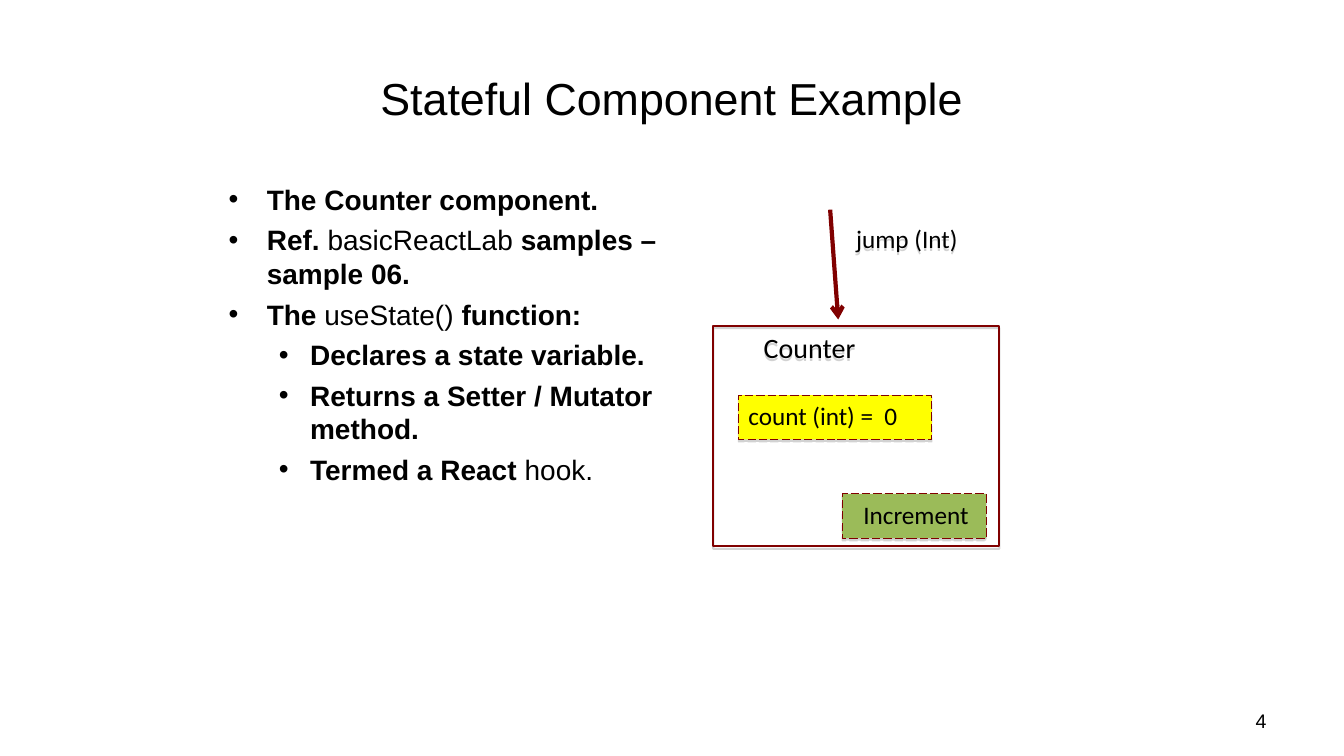
from lxml.etree import SubElement
from pptx import Presentation
from pptx.dml.color import RGBColor
from pptx.enum.dml import MSO_LINE
from pptx.enum.shapes import MSO_CONNECTOR, MSO_SHAPE
from pptx.enum.text import MSO_ANCHOR as Anchor, PP_ALIGN as Align
from pptx.oxml.ns import qn
from pptx.util import Inches, Pt

BLACK, MAROON, YELLOW, GREEN, GREY = "000000", "800000", "FFFF00", "9BBB59", "808080"

POINTS = [
    (0, [("The Counter component.", True)]),
    (0, [("Ref. ", True), ("basicReactLab", False), (" samples – sample 06.", True)]),
    (0, [("The ", True), ("useState() ", False), ("function:", True)]),
    (1, [("Declares a state variable.", True)]),
    (1, [("Returns a Setter / Mutator method.", True)]),
    (1, [("Termed a React ", True), ("hook.", False)]),
]
INDENTS = [(0.38, -0.38), (0.81, -0.31)]


def color(value):
    """Turn a hex string into a colour."""
    return RGBColor.from_string(value)


def set_format(target, values):
    """Set each attribute named in a dict of format values."""
    for name, value in values.items():
        setattr(target, name, value)


def add_run(paragraph, text, size, font="Arial", bold=False):
    """Add a black run of text to a paragraph."""
    run = paragraph.add_run()
    run.text = text
    set_format(run.font, {"size": Pt(size), "name": font, "bold": bold})
    run.font.color.rgb = color(BLACK)


def add_shadow(shape):
    """Give a shape a thin grey shadow straight below it."""
    effects = SubElement(shape._element.spPr, qn("a:effectLst"))
    shadow = SubElement(effects, qn("a:outerShdw"), blurRad="0",
                        dist=str(Pt(1.8)), dir="5400000", rotWithShape="0")
    tint = SubElement(shadow, qn("a:srgbClr"), val=GREY)
    SubElement(tint, qn("a:alpha"), val="35000")


def write_text(shape, text, size, font="Arial", align=Align.LEFT, anchor=Anchor.TOP, inset=0.1):
    """Write one line of text into a shape."""
    frame = shape.text_frame
    set_format(frame, {"word_wrap": True, "vertical_anchor": anchor, "margin_left": Inches(inset)})
    line = frame.paragraphs[0]
    line.alignment = align
    add_run(line, text, size, font)


def add_label(slide, place, text, size, **style):
    """Add a text box with one line of text."""
    label = slide.shapes.add_textbox(*map(Inches, place))
    write_text(label, text, size, **style)
    return label


def add_box(slide, place, text, size, inset, fill=None):
    """Add a maroon-edged box, dashed when it is filled."""
    box = slide.shapes.add_shape(MSO_SHAPE.RECTANGLE, *map(Inches, place))
    box.line.color.rgb = color(MAROON)
    if fill:
        box.fill.solid()
        box.fill.fore_color.rgb = color(fill)
        set_format(box.line, {"width": Pt(0.75), "dash_style": MSO_LINE.LONG_DASH})
    else:
        box.fill.background()
        box.line.width = Pt(1.5)
    add_shadow(box)
    write_text(box, text, size, font="Calibri", inset=inset)


def add_arrow(slide, start, end):
    """Add a maroon arrow between two points."""
    arrow = slide.shapes.add_connector(MSO_CONNECTOR.STRAIGHT, *map(Inches, start + end))
    arrow.line.color.rgb = color(MAROON)
    arrow.line.width = Pt(3)
    SubElement(arrow.line._get_or_add_ln(), qn("a:tailEnd"), type="arrow")
    SubElement(arrow._element.spPr, qn("a:effectLst"))


def add_points(slide, place, points):
    """Add the two-level bulleted list."""
    frame = slide.shapes.add_textbox(*map(Inches, place)).text_frame
    frame.word_wrap = True
    for index, (level, parts) in enumerate(points):
        point = frame.add_paragraph() if index else frame.paragraphs[0]
        margin, indent = INDENTS[level]
        props = point._p.get_or_add_pPr()
        props.set("marL", str(Inches(margin)))
        props.set("indent", str(Inches(indent)))
        SubElement(SubElement(props, qn("a:buClr")), qn("a:srgbClr"), val=BLACK)
        SubElement(props, qn("a:buFont"), typeface="Arial")
        SubElement(props, qn("a:buChar"), char="•")
        set_format(point, {"level": level, "line_spacing": Pt(24),
                           "space_before": Pt(5 if index else 0)})
        for text, bold in parts:
            add_run(point, text, 20, bold=bold)


def main():
    """Build the slide and save it."""
    deck = Presentation()
    set_format(deck, {"slide_width": Inches(13.34), "slide_height": Inches(7.5)})
    slide = deck.slides.add_slide(deck.slide_layouts[6])
    add_label(slide, (0.67, 0.34, 12, 1.25), "Stateful Component Example", 32,
              align=Align.CENTER, anchor=Anchor.MIDDLE)
    add_points(slide, (2.17, 1.76, 4.67, 4.95), POINTS)
    add_label(slide, (9.56, 6.95, 3.11, 0.4), "4", 14, align=Align.RIGHT, anchor=Anchor.MIDDLE)
    add_box(slide, (7.08, 3.23, 2.84, 2.19), "Counter", 20, 0.5)
    add_box(slide, (7.33, 3.92, 1.92, 0.44), "count (int) =  0", 18, 0.1, YELLOW)
    add_arrow(slide, (8.24, 2.08), (8.32, 3.17))
    add_shadow(add_label(slide, (8.4, 2.17, 2.23, 0.44), "jump (Int)", 18, font="Calibri"))
    add_box(slide, (8.36, 4.9, 1.43, 0.44), "Increment", 18, 0.21, GREEN)
    deck.save("out.pptx")


if __name__ == "__main__":
    main()
